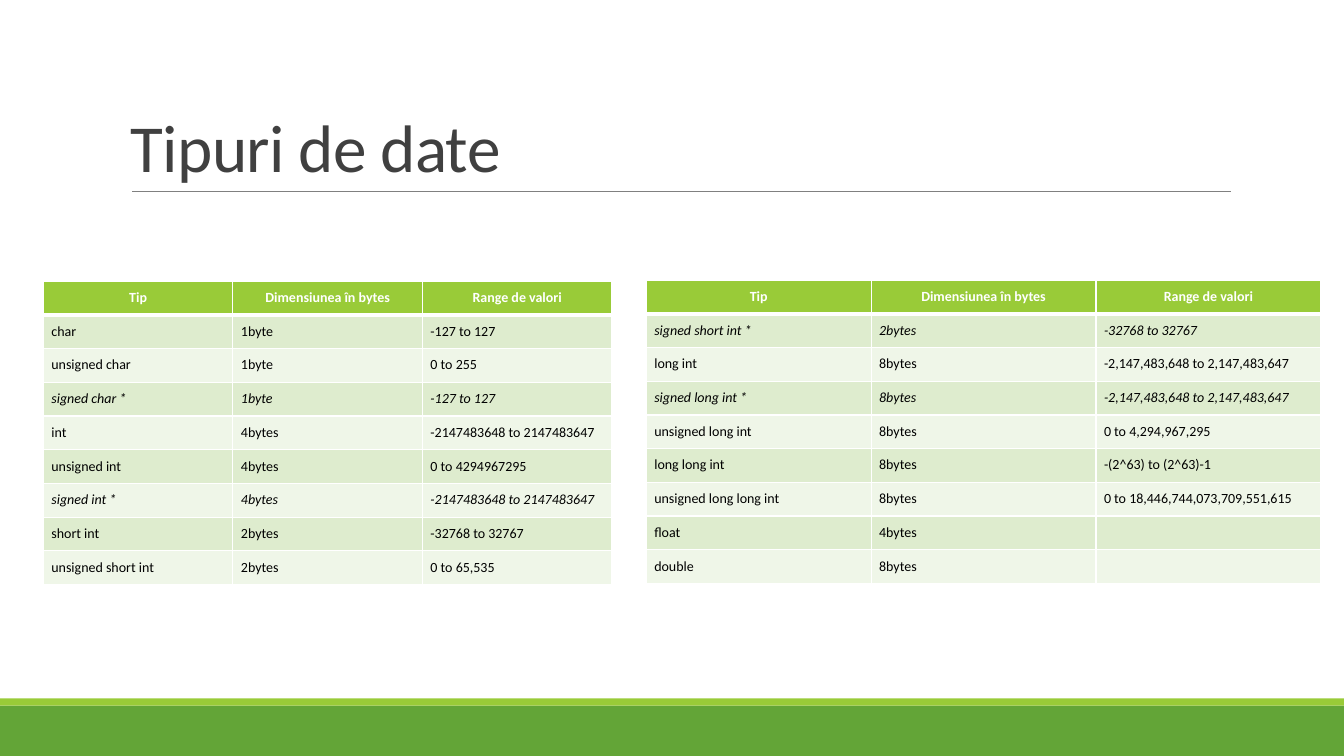
from lxml import etree
from pptx import Presentation
from pptx.dml.color import RGBColor
from pptx.enum.shapes import MSO_CONNECTOR, MSO_SHAPE
from pptx.enum.text import MSO_ANCHOR, PP_ALIGN
from pptx.oxml.ns import qn
from pptx.util import Inches, Pt

STRAIGHT = MSO_CONNECTOR.STRAIGHT
RECTANGLE = MSO_SHAPE.RECTANGLE
BOTTOM = MSO_ANCHOR.BOTTOM
LEFT, CENTER = PP_ALIGN.LEFT, PP_ALIGN.CENTER

FONT = "Calibri"
WHITE, BLACK = "FFFFFF", "000000"
LIME, GREEN = "99CB38", "63A537"
BANDS = ("DEECCE", "EFF6E8")
CELL_MARGIN = 0.08
ROW_HEIGHT = 3.01 / 9

HEADER = ("Tip", "Dimensiunea în bytes", "Range de valori")
SMALL_TYPES = (
    ("char", "1byte", "-127 to 127"),
    ("unsigned char", "1byte", "0 to 255"),
    ("signed char *", "1byte", "-127 to 127"),
    ("int", "4bytes", "-2147483648 to 2147483647"),
    ("unsigned int", "4bytes", "0 to 4294967295"),
    ("signed int *", "4bytes", "-2147483648 to 2147483647"),
    ("short int", "2bytes", "-32768 to 32767"),
    ("unsigned short int", "2bytes", "0 to 65,535"),
)
LARGE_TYPES = (
    ("signed short int *", "2bytes", "-32768 to 32767"),
    ("long int", "8bytes", "-2,147,483,648 to 2,147,483,647"),
    ("signed long int *", "8bytes", "-2,147,483,648 to 2,147,483,647"),
    ("unsigned long int", "8bytes", "0 to 4,294,967,295"),
    ("long long int", "8bytes", "-(2^63) to (2^63)-1"),
    ("unsigned long long int", "8bytes", "0 to 18,446,744,073,709,551,615"),
    ("float", "4bytes", ""),
    ("double", "8bytes", ""),
)


def color(value):
    return RGBColor.from_string(value)


def write(frame, text, size=10, ink=BLACK, bold=False, italic=False,
          align=LEFT, line_spacing=None, tracking=None):
    para = frame.paragraphs[0]
    para.alignment = align
    para.line_spacing = line_spacing
    if not text:
        etree.SubElement(para._p, qn("a:endParaRPr"), sz=str(size * 100))
        return
    span = para.add_run()
    span.text = text
    font = span.font
    font.name, font.size = FONT, Pt(size)
    font.bold, font.italic = bold, italic
    font.color.rgb = color(ink)
    if tracking is not None:
        span._r.get_or_add_rPr().set("spc", str(round(tracking * 100)))


def add_band(page, top, height, fill):
    band = page.shapes.add_shape(
        RECTANGLE, 0, Inches(top), Inches(13.33), Inches(height))
    band.shadow.inherit = False
    band.fill.solid()
    band.fill.fore_color.rgb = color(fill)
    band.line.fill.background()


def add_rule(page, left, right, top):
    rule = page.shapes.add_connector(
        STRAIGHT, Inches(left), Inches(top), Inches(right), Inches(top))
    rule.line.color.rgb = color("808080")
    rule.line.width = Pt(0.5)
    etree.SubElement(rule._element.spPr, qn("a:effectLst"))


def add_title(page, text):
    box = page.shapes.add_textbox(
        Inches(1.2), Inches(0.31), Inches(11), Inches(1.59))
    frame = box.text_frame
    frame.word_wrap = True
    frame.vertical_anchor = BOTTOM
    write(frame, text, size=48, ink="404040", line_spacing=0.85, tracking=-0.5)


def set_borders(cell, top, bottom):
    properties = cell._tc.get_or_add_tcPr()
    for side, width in (("L", 1), ("R", 1), ("T", top), ("B", bottom)):
        border = etree.SubElement(
            properties, qn(f"a:ln{side}"), w=str(Pt(width)))
        fill = etree.SubElement(border, qn("a:solidFill"))
        etree.SubElement(fill, qn("a:srgbClr"), val=WHITE)


def format_cell(cell, fill, top=1, bottom=1):
    cell.margin_left = cell.margin_right = Inches(CELL_MARGIN)
    cell.margin_top = cell.margin_bottom = Inches(CELL_MARGIN)
    set_borders(cell, top, bottom)
    cell.fill.solid()
    cell.fill.fore_color.rgb = color(fill)


def add_type_table(page, left, top, column_width, types):
    rows = (HEADER,) + types
    table = page.shapes.add_table(
        len(rows), len(HEADER), Inches(left), Inches(top),
        Inches(column_width * len(HEADER)),
        Inches(ROW_HEIGHT * len(rows))).table
    for column in table.columns:
        column.width = Inches(column_width)
    for row_index, row in enumerate(rows):
        table.rows[row_index].height = Inches(ROW_HEIGHT)
        for column_index, text in enumerate(row):
            cell = table.cell(row_index, column_index)
            if row_index == 0:
                format_cell(cell, LIME, bottom=3)
                write(cell.text_frame, text, ink=WHITE, bold=True, align=CENTER)
            else:
                format_cell(cell, BANDS[(row_index - 1) % 2],
                            top=3 if row_index == 1 else 1)
                write(cell.text_frame, text, italic=row[0].endswith("*"))


def main():
    deck = Presentation()
    deck.slide_width, deck.slide_height = Inches(13.33), Inches(7.5)
    page = deck.slides.add_slide(deck.slide_layouts[6])
    add_band(page, 7, 0.5, GREEN)
    add_band(page, 6.93, 0.07, LIME)
    add_rule(page, 1.31, 12.21, 1.9)
    add_title(page, "Tipuri de date")
    add_type_table(page, 0.43, 2.79, 1.88, SMALL_TYPES)
    add_type_table(page, 6.41, 2.78, 2.23, LARGE_TYPES)
    deck.save("out.pptx")


if __name__ == "__main__":
    main()
